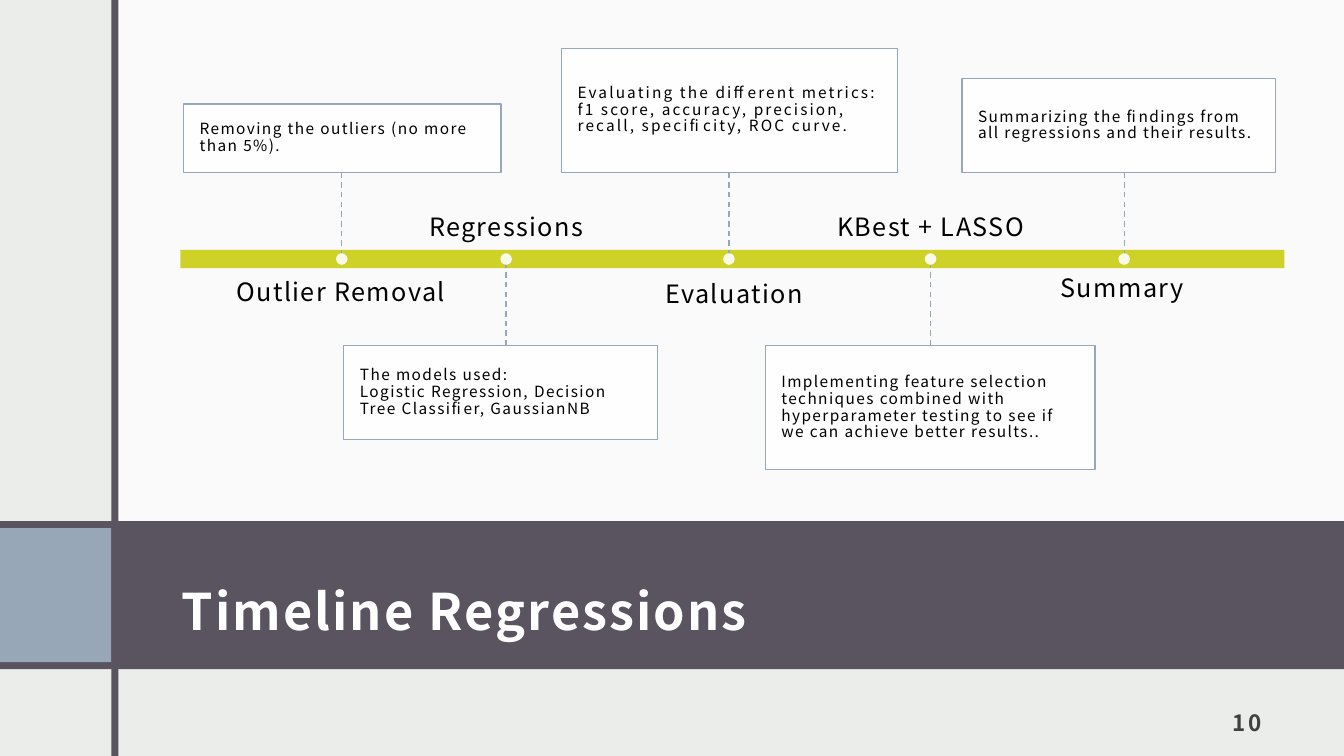
import dataclasses

import lxml.etree
import pptx
import pptx.dml.color
import pptx.enum.dml
import pptx.enum.shapes
import pptx.enum.text
import pptx.oxml.ns
import pptx.util

WIDTH, HEIGHT = 13.33, 7.5
FONT = "Noto Sans CJK JP"
COLORS = {
    "background": "EBEDEB",
    "panel": "FFFFFF",
    "band": "595460",
    "accent": "97A7B8",
    "bar": "CED228",
    "text": "000000",
    "number": "404040",
}
SHAPES = pptx.enum.shapes.MSO_SHAPE
ANCHOR = pptx.enum.text.MSO_ANCHOR
ALIGN = pptx.enum.text.PP_ALIGN


@dataclasses.dataclass
class Milestone:
    center: float
    box: tuple
    above: bool
    label: str
    label_box: tuple
    lines: tuple
    spacing: float = 1
    label_line: float = 1


MILESTONES = [
    Milestone(3.39, (1.82, 3.15, 0.68), True, "Outlier Removal", (1.92, 2.74),
              ("Removing the outliers (no more than 5%).",)),
    Milestone(5.02, (3.41, 3.11, 0.93), False, "Regressions", (3.56, 1.89),
              ("The models used:",
               "Logistic Regression, Decision Tree Classifier, GaussianNB")),
    Milestone(7.23, (5.57, 3.33, 1.23), True, "Evaluation", (5.82, 2.76),
              ("Evaluating the different metrics: f1 score, accuracy, "
               "precision, recall, specificity, ROC curve.",), spacing=1.5),
    Milestone(9.23, (7.59, 3.27, 1.23), False, "KBest + LASSO", (7.77, 1.89),
              ("Implementing feature selection techniques combined with "
               "hyperparameter testing to see if we can achieve better "
               "results..",), label_line=0.9),
    Milestone(11.15, (9.54, 3.11, 0.93), True, "Summary", (9.67, 2.74),
              ("Summarizing the findings from all regressions and their "
               "results.",), label_line=0.9),
]


def rgb(name):
    return pptx.dml.color.RGBColor.from_string(COLORS[name])


def inches(*lengths):
    return [pptx.util.Inches(length) for length in lengths]


def add_filled(slide, box, color, opacity=100, outline=None, kind=SHAPES.RECTANGLE):
    shape = slide.shapes.add_shape(kind, *inches(*box))
    shape.shadow.inherit = False
    shape.fill.solid()
    shape.fill.fore_color.rgb = rgb(color)
    if opacity < 100:
        value = shape.fill._xPr.find(".//" + pptx.oxml.ns.qn("a:srgbClr"))
        alpha = lxml.etree.SubElement(value, pptx.oxml.ns.qn("a:alpha"))
        alpha.set("val", str(opacity * 1000))
    if outline:
        shape.line.color.rgb = rgb(outline)
        shape.line.width = pptx.util.Pt(1)
    else:
        shape.line.fill.background()
    return shape


def write(shape, lines, size, color="text", bold=False, spacing=1, line_spacing=1,
          anchor=ANCHOR.TOP, align=ALIGN.LEFT, insets=(0, 0, 0, 0)):
    frame = shape.text_frame
    frame.word_wrap = True
    frame.vertical_anchor = anchor
    (frame.margin_left, frame.margin_top,
     frame.margin_right, frame.margin_bottom) = inches(*insets)
    paragraph = frame.paragraphs[0]
    paragraph.alignment = align
    paragraph.line_spacing = line_spacing
    for index, line in enumerate(lines):
        if index:
            paragraph.add_line_break()
        run = paragraph.add_run()
        run.text = line
        run.font.name = FONT
        run.font.size = pptx.util.Pt(size)
        run.font.bold = bold
        run.font.color.rgb = rgb(color)
        run._r.get_or_add_rPr().set("spc", str(int(spacing * 100)))


def add_stem(slide, x, start, end):
    connector = slide.shapes.add_connector(
        pptx.enum.shapes.MSO_CONNECTOR.STRAIGHT, *inches(x, start, x, end))
    connector.line.color.rgb = rgb("accent")
    connector.line.width = pptx.util.Pt(1)
    connector.line.dash_style = pptx.enum.dml.MSO_LINE.DASH
    lxml.etree.SubElement(connector._element.spPr, pptx.oxml.ns.qn("a:effectLst"))


def add_frame(slide, left, top, band_height):
    rule = 0.07
    add_filled(slide, (left, 0, WIDTH - left, top), "panel", opacity=75)
    add_filled(slide, (0, top, WIDTH, band_height), "band")
    add_filled(slide, (0, top + rule, left - rule / 2, band_height - 2 * rule), "accent")
    add_filled(slide, (left - rule / 2, 0, rule, HEIGHT), "band")


def add_heading(slide, box, title):
    write(slide.shapes.add_textbox(*inches(*box)), [title], 36, "panel", bold=True,
          spacing=1.5, line_spacing=1.5, anchor=ANCHOR.MIDDLE,
          insets=(0.12, 0.12, 0.12, 0.1))


def add_page_number(slide, box, number):
    write(slide.shapes.add_textbox(*inches(*box)), [number], 16, "number", bold=True,
          spacing=1.5, anchor=ANCHOR.BOTTOM, align=ALIGN.RIGHT,
          insets=(0.12, 0.12, 0.12, 0.1))


def add_milestone(slide, milestone, axis):
    reach, dot = 0.86, 0.115
    left, width, height = milestone.box
    edge = axis - reach if milestone.above else axis + reach
    top = edge - height if milestone.above else edge
    add_stem(slide, milestone.center, edge, axis)
    card = add_filled(slide, (left, top, width, height), "panel", 90, "accent")
    write(card, milestone.lines, 11, spacing=milestone.spacing, line_spacing=0.9,
          anchor=ANCHOR.MIDDLE, insets=(0.16, 0.06, 0.16, 0.06))
    label = slide.shapes.add_textbox(*inches(*milestone.label_box, 2.92, 0.51))
    write(label, [milestone.label], 18, line_spacing=milestone.label_line,
          anchor=ANCHOR.TOP if milestone.above else ANCHOR.BOTTOM, align=ALIGN.CENTER)
    add_filled(slide, (milestone.center - dot / 2, axis - dot / 2, dot, dot),
               "panel", 90, kind=SHAPES.OVAL)


def add_timeline(slide, box, milestones):
    add_filled(slide, box, "bar")
    for milestone in milestones:
        add_milestone(slide, milestone, box[1] + box[3] / 2)


def main():
    presentation = pptx.Presentation()
    presentation.slide_width, presentation.slide_height = inches(WIDTH, HEIGHT)
    slide = presentation.slides.add_slide(presentation.slide_layouts[6])
    slide.background.fill.solid()
    slide.background.fill.fore_color.rgb = rgb("background")
    add_frame(slide, 1.14, 5.17, 1.47)
    add_heading(slide, (1.68, 5.33, 10.95, 1.13), "Timeline Regressions")
    add_page_number(slide, (11.56, 6.9, 1.07, 0.5), "10")
    add_timeline(slide, (1.79, 2.48, 10.95, 0.18), MILESTONES)
    presentation.save("out.pptx")


if __name__ == "__main__":
    main()
